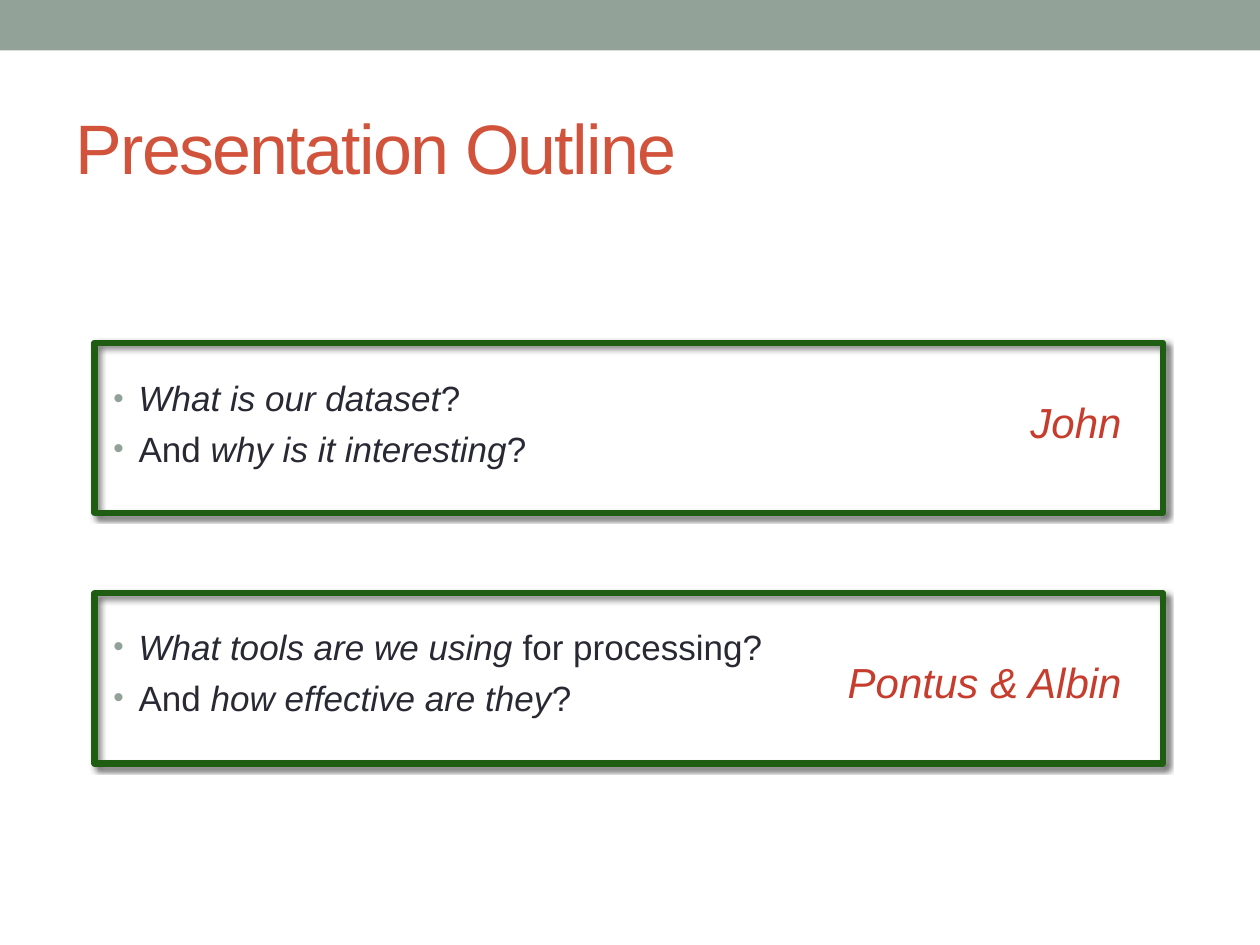
from dataclasses import dataclass

from lxml import etree
from pptx import Presentation
from pptx.dml.color import RGBColor
from pptx.enum.shapes import MSO_SHAPE
from pptx.enum.text import MSO_ANCHOR, MSO_AUTO_SIZE, PP_ALIGN
from pptx.oxml.ns import qn
from pptx.util import Inches, Pt

RECT = MSO_SHAPE.RECTANGLE
LEFT = PP_ALIGN.LEFT
MIDDLE, TOP = MSO_ANCHOR.MIDDLE, MSO_ANCHOR.TOP
FIXED = MSO_AUTO_SIZE.NONE
FONT = "Arial"
COLORS = {
    "band": "93A299",
    "title": "D2533C",
    "body": "292934",
    "name": "C63D2E",
    "frame": "1F5E12",
    "shade": "000000",
}


@dataclass
class Part:
    top: float
    name: str
    spot: tuple[float, float, float, float]
    gap: float
    lines: list[list[tuple[str, bool]]]


PARTS = [
    Part(2.72, "John", (8.08, 3.1, 1.1, 0.5), 0, [
        [("What is our dataset", True), ("?", False)],
        [("And ", False), ("why is it interesting", True), ("?", False)],
    ]),
    Part(4.71, "Pontus & Albin", (6.63, 5.16, 2.4, 0.5), 89, [
        [("What tools are we using", True), (" for processing?", False)],
        [("And ", False), ("how effective are they", True), ("?", False)],
    ]),
]


def color(key: str) -> RGBColor:
    return RGBColor.from_string(COLORS[key])


def place(shape, left: float, top: float, width: float, height: float) -> None:
    shape.left, shape.top = Inches(left), Inches(top)
    shape.width, shape.height = Inches(width), Inches(height)


def write(para, text: str, *, size: float, tint: str, slant: bool = False,
          track: int = 0) -> None:
    para.alignment = LEFT
    run = para.add_run()
    run.text = text
    font = run.font
    font.name, font.size, font.italic = FONT, Pt(size), slant
    font.color.rgb = color(tint)
    if track:
        font._element.set("spc", str(track))


def node(parent, tag: str, **attrs: str):
    return etree.SubElement(parent, qn(tag), attrs)


def bullet(para) -> None:
    props = para._p.get_or_add_pPr()
    props.set("marL", str(Inches(0.5)))
    props.set("indent", str(Inches(-0.2)))
    node(node(props, "a:buClr"), "a:srgbClr", val=COLORS["band"])
    node(props, "a:buSzPct", val="85000")
    node(props, "a:buFont", typeface=FONT)
    node(props, "a:buChar", char="•")


def box(slide, left: float, top: float, width: float, height: float):
    shape = slide.shapes.add_shape(
        RECT, Inches(left), Inches(top), Inches(width), Inches(height))
    shape.shadow.inherit = False
    return shape


def frame(slide, top: float) -> None:
    shape = box(slide, 0.75, top, 8.48, 1.35)
    shape.fill.background()
    shape.line.color.rgb = color("frame")
    shape.line.width = Pt(3.5)
    node(shape.line._get_or_add_ln(), "a:round")
    effects = shape._element.spPr.find(qn("a:effectLst"))
    shade = node(effects, "a:outerShdw", blurRad=str(Pt(3)), dist=str(Pt(2)),
                 dir=str(45 * 60000), algn="ctr", rotWithShape="0")
    tint = node(shade, "a:srgbClr", val=COLORS["shade"])
    node(tint, "a:alpha", val="60000")


def label(slide, part: Part) -> None:
    area = slide.shapes.add_textbox(*map(Inches, part.spot))
    area.text_frame.word_wrap = True
    write(area.text_frame.paragraphs[0], part.name,
          size=24, tint="name", slant=True)


def outline(body) -> None:
    place(body, 0.5, 1.75, 9, 5.33)
    text = body.text_frame
    text.auto_size, text.vertical_anchor = FIXED, TOP
    text.margin_top = Inches(1.24)
    para = text.paragraphs[0]
    for part in PARTS:
        for row, line in enumerate(part.lines):
            if para.runs:
                para = text.add_paragraph()
            para.space_before = Pt(5 if row else part.gap)
            bullet(para)
            for words, slant in line:
                write(para, words, size=20, tint="body", slant=slant)


def main() -> None:
    deck = Presentation()
    deck.slide_width, deck.slide_height = Inches(10), Inches(7.5)
    slide = deck.slides.add_slide(deck.slide_layouts[1])
    band = box(slide, 0, 0, 10, 0.4)
    band.fill.solid()
    band.fill.fore_color.rgb = color("band")
    band.line.fill.background()
    title = slide.shapes.title
    place(title, 0.5, 0.62, 9, 1.08)
    title.text_frame.vertical_anchor = MIDDLE
    write(title.text_frame.paragraphs[0], "Presentation Outline",
          size=40, tint="title", track=-100)
    outline(slide.placeholders[1])
    for part in PARTS:
        frame(slide, part.top)
    for part in PARTS:
        label(slide, part)
    deck.save("out.pptx")


if __name__ == "__main__":
    main()
